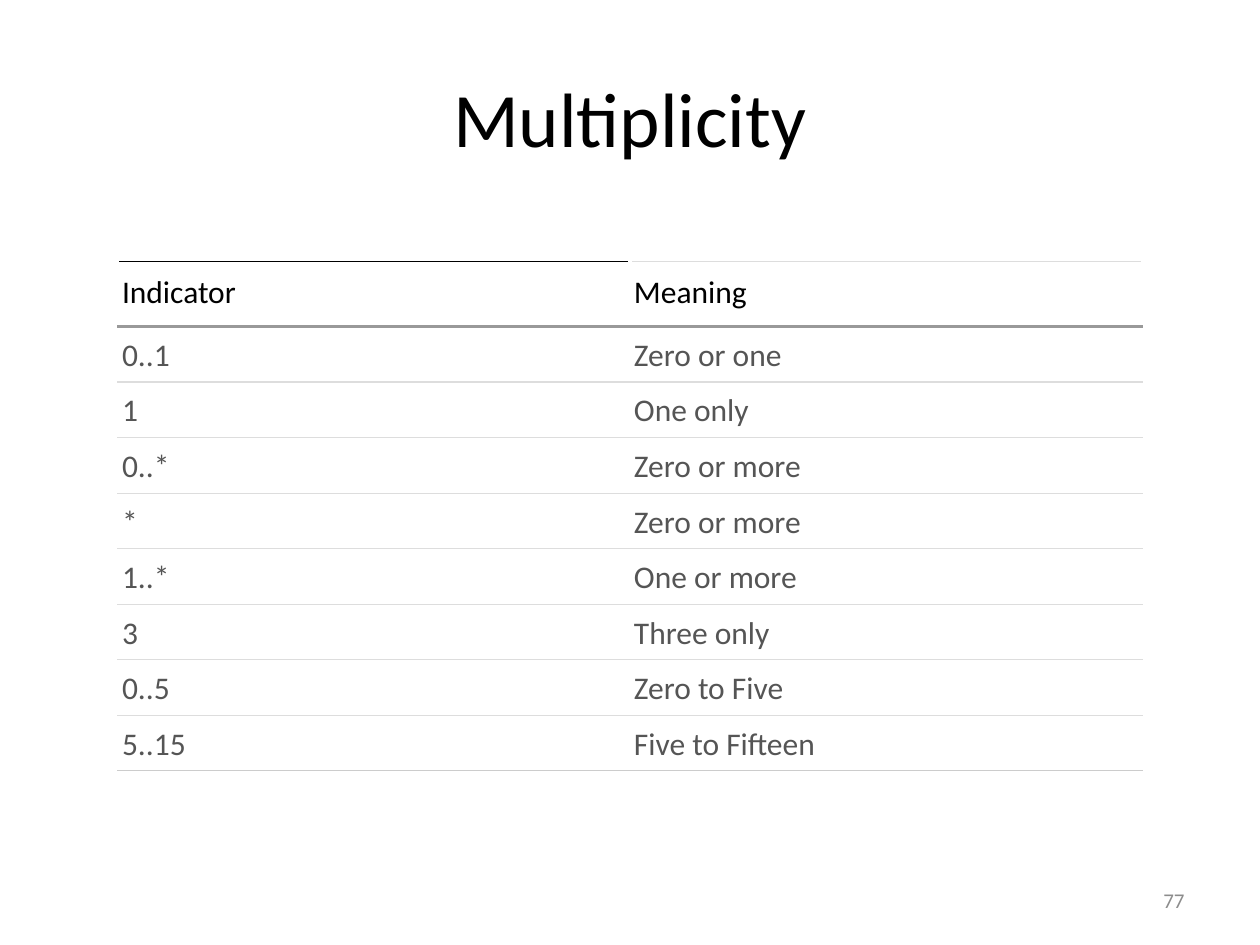
import pptx
import pptx.dml.color
import pptx.enum.text
import pptx.oxml
import pptx.oxml.ns
import pptx.util
from dataclasses import dataclass

Cm = pptx.util.Cm
Pt = pptx.util.Pt
PP_ALIGN = pptx.enum.text.PP_ALIGN
MSO_ANCHOR = pptx.enum.text.MSO_ANCHOR


@dataclass(frozen=True)
class Theme:
    font: str = "Calibri"
    title_size: int = 44
    table_size: int = 18
    number_size: int = 12
    black: str = "000000"
    white: str = "FFFFFF"
    body: str = "555555"
    number: str = "8C8C8C"
    rule: str = "DDDDDD"
    header_rule: str = "999999"
    last_rule: str = "CCCCCC"


theme = Theme()


def style(p, text, size, color, align=PP_ALIGN.LEFT):
    p.text = text
    p.alignment = align
    p.font.name = theme.font
    p.font.size = Pt(size)
    p.font.color.rgb = pptx.dml.color.RGBColor.from_string(color)


def add_border(cell, side, color, width):
    cell._tc.get_or_add_tcPr().append(pptx.oxml.parse_xml(
        f'<a:ln{side} {pptx.oxml.ns.nsdecls("a")} w="{Pt(width)}">'
        f'<a:solidFill><a:srgbClr val="{color}"/></a:solidFill></a:ln{side}>'))


prs = pptx.Presentation()
prs.slide_width = Cm(25.4)
prs.slide_height = Cm(19.05)
s = prs.slides.add_slide(prs.slide_layouts[6])

labels = [
    ("Multiplicity", theme.title_size, theme.black, PP_ALIGN.CENTER, (1.27, 0.76, 22.86, 3.18)),
    ("77", theme.number_size, theme.number, PP_ALIGN.RIGHT, (18.2, 17.65, 5.93, 1.01)),
]
for text, size, color, align, box in labels:
    tf = s.shapes.add_textbox(*map(Cm, box)).text_frame
    tf.word_wrap = True
    tf.vertical_anchor = MSO_ANCHOR.MIDDLE
    style(tf.paragraphs[0], text, size, color, align)

rows = [
    ("Indicator", "Meaning"),
    ("0..1", "Zero or one"),
    ("1", "One only"),
    ("0..*", "Zero or more"),
    ("*", "Zero or more"),
    ("1..*", "One or more"),
    ("3", "Three only"),
    ("0..5", "Zero to Five"),
    ("5..15", "Five to Fifteen"),
]
header_height, row_height = 1.31, 1.12
last = len(rows) - 1
table = s.shapes.add_table(
    len(rows), 2, Cm(2.38), Cm(5.27), Cm(20.64),
    Cm(header_height + last * row_height)).table
table.first_row = False
table.horz_banding = False

rules = [(theme.rule, 0.75), (theme.header_rule, 1.5)]
rules += [(theme.rule, 0.75)] * (last - 1) + [(theme.last_rule, 0.75)]

for i, texts in enumerate(rows):
    header = i == 0
    table.rows[i].height = Cm(header_height if header else row_height)
    for j, text in enumerate(texts):
        cell = table.cell(i, j)
        cell.margin_left = Cm(0.08)
        cell.margin_right = Cm(0.13)
        cell.margin_top = Cm(0.25 if header else 0.2)
        cell.margin_bottom = Cm(0.25 if header else 0.13)
        style(cell.text_frame.paragraphs[0], text, theme.table_size,
              theme.black if header else theme.body)
        top = (theme.black, 1) if header and j == 0 else rules[i]
        add_border(cell, "R" if j == 0 else "L", theme.white, 2.25)
        add_border(cell, "T", *top)
        add_border(cell, "B", *rules[i + 1])
        cell.fill.solid()
        cell.fill.fore_color.rgb = pptx.dml.color.RGBColor.from_string(theme.white)

prs.save("out.pptx")
